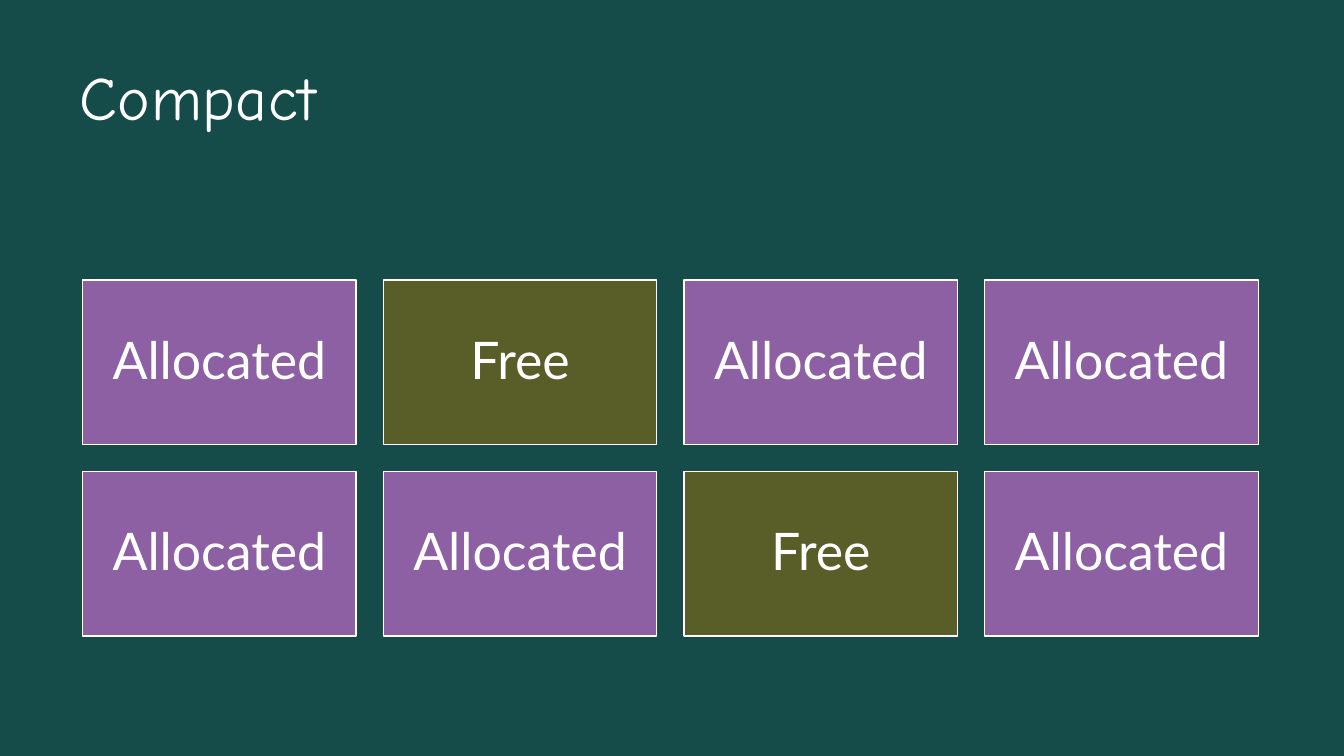
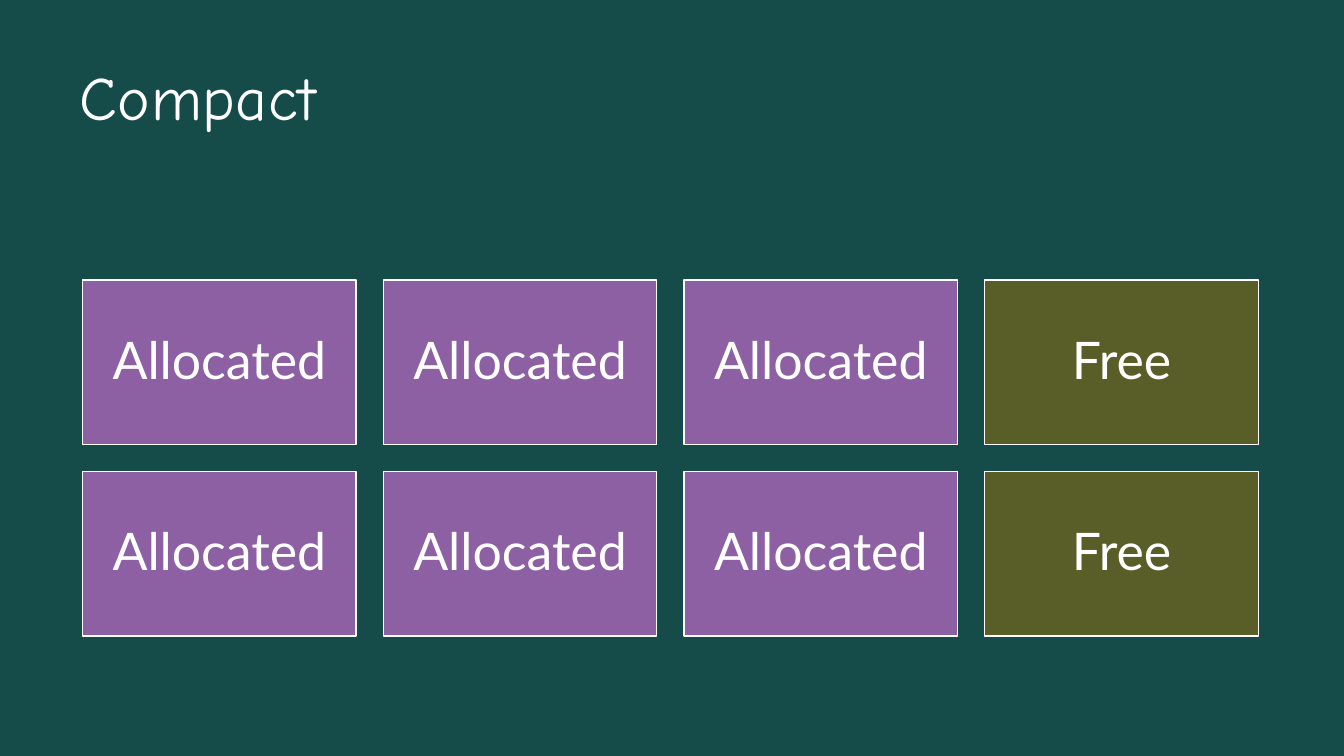
from dataclasses import dataclass
from typing import NamedTuple

from pptx import Presentation
from pptx.dml.color import RGBColor
from pptx.enum.shapes import MSO_SHAPE
from pptx.enum.text import MSO_ANCHOR, PP_ALIGN
from pptx.oxml.ns import qn
from pptx.util import Inches, Pt

RECTANGLE = MSO_SHAPE.RECTANGLE
TOP, MIDDLE = MSO_ANCHOR.TOP, MSO_ANCHOR.MIDDLE
LEFT, CENTER = PP_ALIGN.LEFT, PP_ALIGN.CENTER
TITLE_ONLY = 5


@dataclass(frozen=True)
class Theme:
    background: RGBColor = RGBColor.from_string("154C4A")
    allocated: RGBColor = RGBColor.from_string("8D5FA3")
    free: RGBColor = RGBColor.from_string("595E29")
    ink: RGBColor = RGBColor.from_string("FFFFFF")
    title_font: str = "Comic Neue"
    body_font: str = "Lato"
    title_size: int = Pt(44)
    body_size: int = Pt(37)
    title_tracking: str = "40"
    outline: int = Pt(1)


class Box(NamedTuple):
    left: int
    top: int
    width: int
    height: int


THEME = Theme()
SLIDE_WIDTH, SLIDE_HEIGHT = Inches(13.33), Inches(7.5)
TITLE_BOX = Box(*map(Inches, (0.79, 0.68, 11.73, 1.62)))
MEMORY_BOX = Box(*map(Inches, (0.82, 2.78, 11.66, 3.53)))
GAP = Inches(0.27)
BLOCK_KINDS = {"A": ("Allocated", THEME.allocated), "F": ("Free", THEME.free)}
MEMORY_STATES = [("AFAA", "AAFA"), ("AAAF", "AAAF")]

TITLE_FORMAT = {
    "font": {"name": THEME.title_font, "size": THEME.title_size},
    "para": {"alignment": LEFT, "line_spacing": 0.88},
    "anchor": TOP,
    "margin": 0,
}
BLOCK_FORMAT = {
    "font": {"name": THEME.body_font, "size": THEME.body_size},
    "para": {"alignment": CENTER, "line_spacing": 0.9},
    "anchor": MIDDLE,
    "margin": Inches(0.15),
}


def set_attributes(target, values):
    for name, value in values.items():
        setattr(target, name, value)


def write_text(shape, text, style):
    frame = shape.text_frame
    margins = {f"margin_{side}": style["margin"] for side in ("left", "top", "right", "bottom")}
    set_attributes(frame, {"word_wrap": True, "vertical_anchor": style["anchor"], **margins})
    para = frame.paragraphs[0]
    set_attributes(para, style["para"])
    span = para.add_run()
    span.text = text
    set_attributes(span.font, style["font"])
    span.font.color.rgb = THEME.ink


def place_title(page, box, text):
    title = page.shapes.title
    set_attributes(title, box._asdict())
    write_text(title, text, TITLE_FORMAT)
    for properties in title.element.iter(qn("a:rPr")):
        properties.set("spc", THEME.title_tracking)


def draw_block(group, box, label, color):
    block = group.shapes.add_shape(RECTANGLE, *box)
    block.shadow.inherit = False
    block.fill.solid()
    block.fill.fore_color.rgb = color
    block.line.color.rgb = THEME.ink
    block.line.width = THEME.outline
    write_text(block, label, BLOCK_FORMAT)


def draw_memory(page, box, rows):
    group = page.shapes.add_group_shape()
    columns = len(rows[0])
    width = (box.width - GAP * (columns - 1)) // columns
    height = (box.height - GAP * (len(rows) - 1)) // len(rows)
    for row, kinds in enumerate(rows):
        for column, kind in enumerate(kinds):
            cell = Box(box.left + column * (width + GAP), box.top + row * (height + GAP), width, height)
            draw_block(group, cell, *BLOCK_KINDS[kind])


def build_memory_slide(deck, rows):
    page = deck.slides.add_slide(deck.slide_layouts[TITLE_ONLY])
    place_title(page, TITLE_BOX, "Compact")
    draw_memory(page, MEMORY_BOX, rows)


def main():
    deck = Presentation()
    set_attributes(deck, {"slide_width": SLIDE_WIDTH, "slide_height": SLIDE_HEIGHT})
    backdrop = deck.slide_master.background.fill
    backdrop.solid()
    backdrop.fore_color.rgb = THEME.background
    for rows in MEMORY_STATES:
        build_memory_slide(deck, rows)
    deck.save("out.pptx")


if __name__ == "__main__":
    main()
